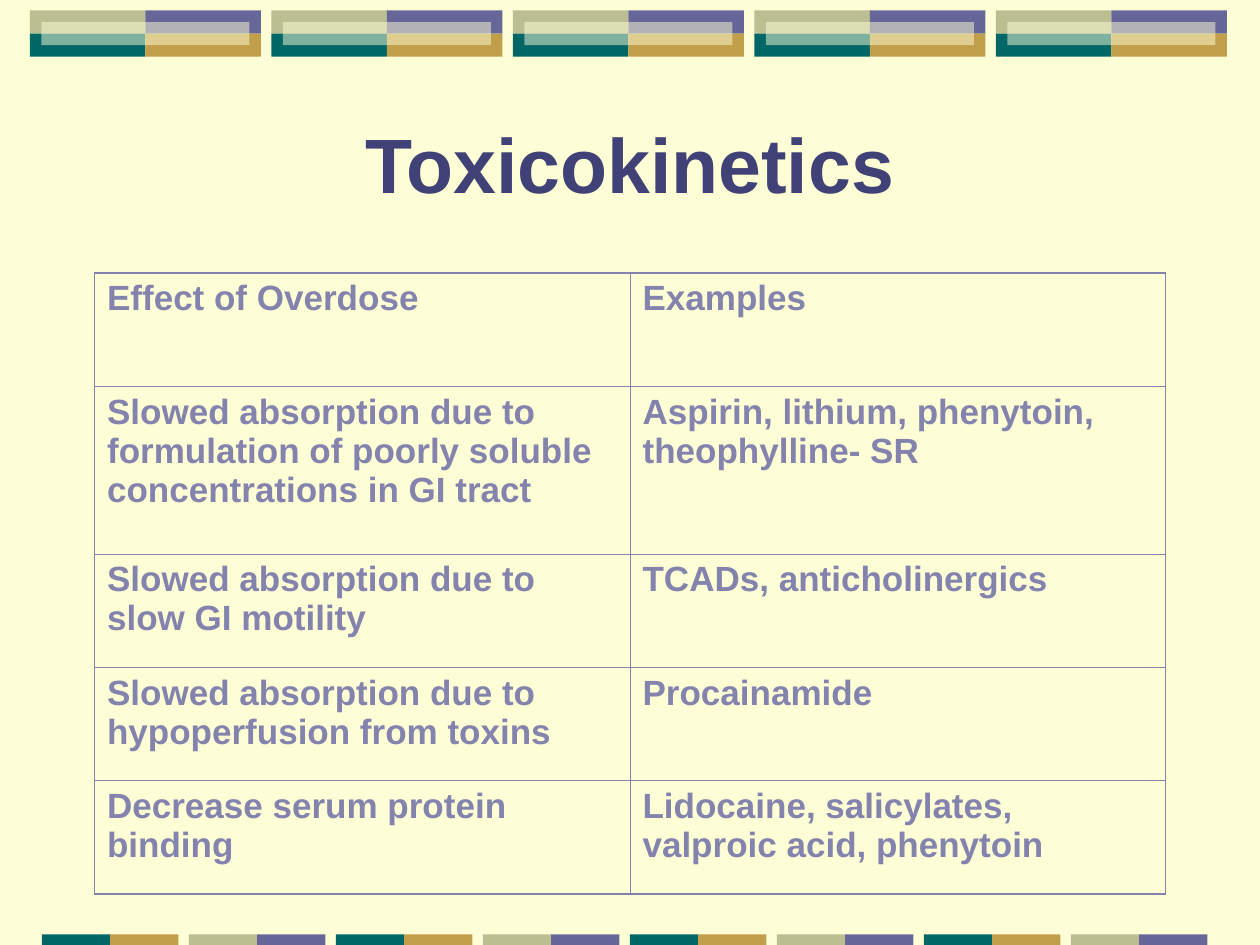
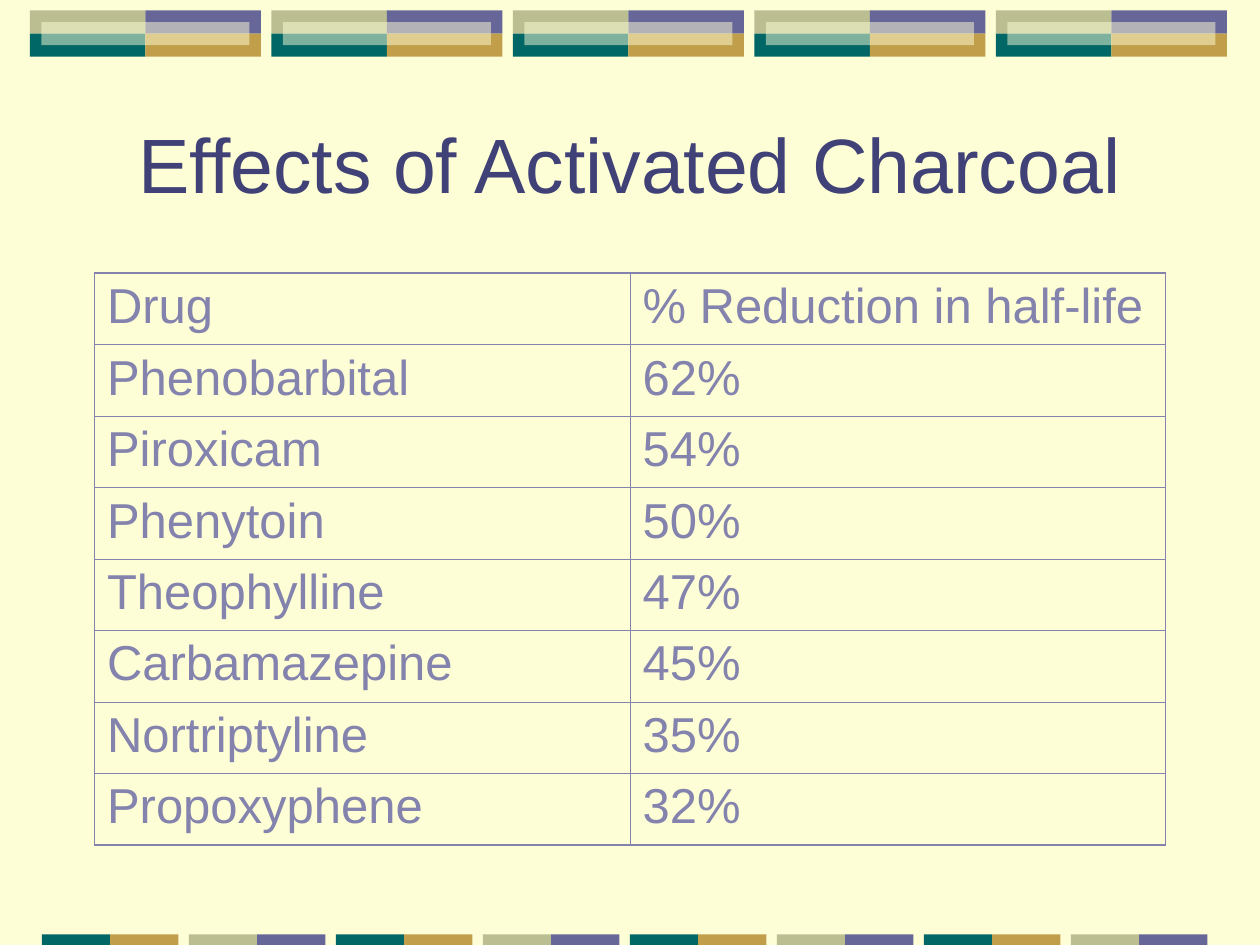
from lxml import etree
from pptx import Presentation
from pptx.dml.color import RGBColor
from pptx.enum.shapes import MSO_SHAPE
from pptx.enum.text import MSO_ANCHOR, PP_ALIGN
from pptx.oxml.ns import qn
from pptx.util import Inches, Pt

RECTANGLE = MSO_SHAPE.RECTANGLE
CENTER = PP_ALIGN.CENTER
MIDDLE = MSO_ANCHOR.MIDDLE

SLIDES = [
    {
        "title": "Toxicokinetics",
        "bold": True,
        "size": 20,
        "space_before": 5,
        "heights": [0.9, 1.33, 0.9, 0.9, 0.9],
        "rows": [
            ("Effect of Overdose", "Examples"),
            ("Slowed absorption due to formulation of poorly soluble concentrations in GI tract",
             "Aspirin, lithium, phenytoin, theophylline- SR"),
            ("Slowed absorption due to slow GI motility", "TCADs, anticholinergics"),
            ("Slowed absorption due to hypoperfusion from toxins", "Procainamide"),
            ("Decrease serum protein binding",
             "Lidocaine, salicylates, valproic acid, phenytoin"),
        ],
    },
    {
        "title": "Effects of Activated Charcoal",
        "bold": False,
        "size": 28,
        "space_before": 7,
        "heights": [4.53 / 8] * 8,
        "rows": [
            ("Drug", "% Reduction in half-life"),
            ("Phenobarbital", "62%"),
            ("Piroxicam", "54%"),
            ("Phenytoin", "50%"),
            ("Theophylline", "47%"),
            ("Carbamazepine", "45%"),
            ("Nortriptyline", "35%"),
            ("Propoxyphene", "32%"),
        ],
    },
]

THEME = {
    "font": "Arial",
    "title_size": 44,
    "background": "FEFED6",
    "title": "404176",
    "table": "8383AD",
    "sage": "BABE90",
    "violet": "666699",
    "teal": "006666",
    "gold": "C09E4A",
    "outer_line": 1.08,
    "inner_line": 0.45,
}

WIDTH, HEIGHT = 10, 7.5
UNIT = WIDTH / 120
MARGIN = 9 * UNIT
CONTENT_WIDTH = WIDTH - 2 * MARGIN
TITLE_TOP, TITLE_HEIGHT = 8 * UNIT, 15 * UNIT
TABLE_TOP = 26 * UNIT

TOP_BAND = {"count": 5, "left": 2.85, "top": 1, "pitch": 23, "tile": (11, 2.2), "inset": 1.1}
TOP_TILES = [["sage", "violet"], ["teal", "gold"]]
BOTTOM_BAND = {"count": 8, "left": 4, "top": 89, "pitch": 14, "tile": (6.5, 1)}
BOTTOM_TILES = [["teal", "gold"], ["sage", "violet"]]


def color(name):
    return RGBColor.from_string(THEME[name])


def apply(target, values):
    for name, value in values.items():
        setattr(target, name, value)


def add_tile(slide, left, top, width, height, fill, opacity=None):
    lengths = [Inches(length * UNIT) for length in (left, top, width, height)]
    shape = slide.shapes.add_shape(RECTANGLE, *lengths)
    shape.shadow.inherit = False
    shape.fill.solid()
    shape.fill.fore_color.rgb = color(fill)
    shape.line.fill.background()
    if opacity is not None:
        solid_color = next(shape.element.spPr.iter(qn("a:srgbClr")))
        etree.SubElement(solid_color, qn("a:alpha"), val=str(opacity * 1000))


def add_bands(slide):
    width, height = TOP_BAND["tile"]
    inset, top = TOP_BAND["inset"], TOP_BAND["top"]
    for block in range(TOP_BAND["count"]):
        left = TOP_BAND["left"] + block * TOP_BAND["pitch"]
        for row, fills in enumerate(TOP_TILES):
            for column, fill in enumerate(fills):
                add_tile(slide, left + column * width, top + row * height, width, height, fill)
        add_tile(slide, left + inset, top + inset,
                 2 * (width - inset), 2 * (height - inset), "background", 50)

    width, height = BOTTOM_BAND["tile"]
    for block in range(BOTTOM_BAND["count"]):
        left = BOTTOM_BAND["left"] + block * BOTTOM_BAND["pitch"]
        for column, fill in enumerate(BOTTOM_TILES[block % 2]):
            add_tile(slide, left + column * width, BOTTOM_BAND["top"], width, height, fill)


def write(paragraph, text, size, bold, fill):
    run = paragraph.add_run()
    run.text = text
    apply(run.font, {"name": THEME["font"], "size": Pt(size), "bold": bold})
    run.font.color.rgb = color(fill)


def add_title(slide, content):
    box = slide.shapes.add_textbox(Inches(MARGIN), Inches(TITLE_TOP),
                                   Inches(CONTENT_WIDTH), Inches(TITLE_HEIGHT))
    apply(box.text_frame, {"word_wrap": True, "vertical_anchor": MIDDLE})
    paragraph = box.text_frame.paragraphs[0]
    paragraph.alignment = CENTER
    write(paragraph, content["title"], THEME["title_size"], content["bold"], "title")


def set_borders(cell, outer_edges):
    properties = cell._tc.get_or_add_tcPr()
    for position, (side, is_outer) in enumerate(outer_edges.items()):
        points = THEME["outer_line" if is_outer else "inner_line"]
        line = etree.Element(qn(f"a:ln{side}"), w=str(Pt(points)))
        fill = etree.SubElement(line, qn("a:solidFill"))
        etree.SubElement(fill, qn("a:srgbClr"), val=THEME["table"])
        properties.insert(position, line)


def add_table(slide, content):
    rows, heights = content["rows"], content["heights"]
    column_count = len(rows[0])
    frame = slide.shapes.add_table(len(rows), column_count, Inches(MARGIN), Inches(TABLE_TOP),
                                   Inches(CONTENT_WIDTH), Inches(sum(heights)))
    table = frame.table
    apply(table, {"first_row": False, "horz_banding": False})
    for row, texts in enumerate(rows):
        table.rows[row].height = Inches(heights[row])
        for column, text in enumerate(texts):
            cell = table.cell(row, column)
            cell.fill.background()
            paragraph = cell.text_frame.paragraphs[0]
            paragraph.space_before = Pt(content["space_before"])
            write(paragraph, text, content["size"], content["bold"], "table")
            set_borders(cell, {
                "L": column == 0,
                "R": column == column_count - 1,
                "T": row == 0,
                "B": row == len(rows) - 1,
            })


def main():
    presentation = Presentation()
    apply(presentation, {"slide_width": Inches(WIDTH), "slide_height": Inches(HEIGHT)})
    blank_layout = presentation.slide_layouts[6]
    for content in SLIDES:
        slide = presentation.slides.add_slide(blank_layout)
        slide.background.fill.solid()
        slide.background.fill.fore_color.rgb = color("background")
        add_bands(slide)
        add_title(slide, content)
        add_table(slide, content)
    presentation.save("out.pptx")


if __name__ == "__main__":
    main()
